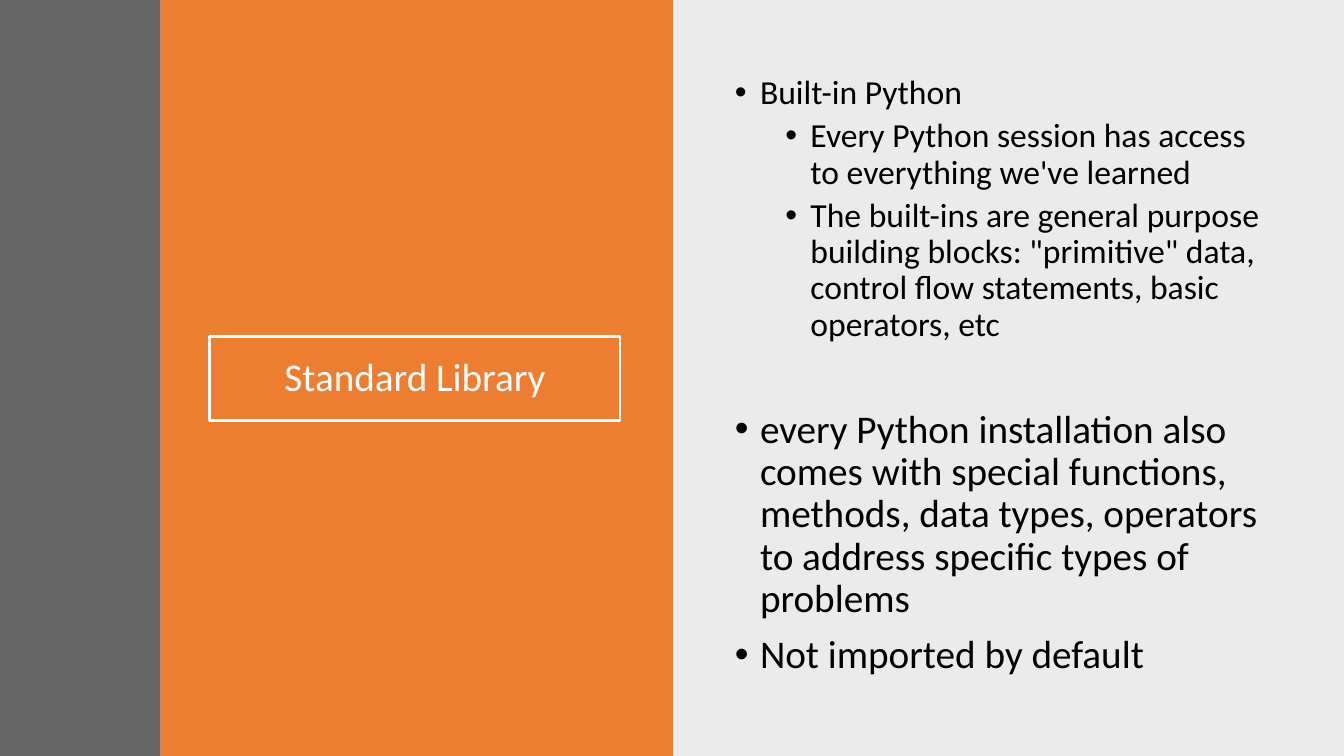
from lxml import etree
from pptx import Presentation
from pptx.dml.color import RGBColor
from pptx.enum.shapes import MSO_SHAPE
from pptx.enum.text import MSO_ANCHOR, PP_ALIGN
from pptx.oxml.ns import qn
from pptx.util import Inches, Pt

RECTANGLE = MSO_SHAPE.RECTANGLE
MIDDLE = MSO_ANCHOR.MIDDLE
CENTER = PP_ALIGN.CENTER

BLACK = RGBColor(0x00, 0x00, 0x00)
WHITE = RGBColor(0xFF, 0xFF, 0xFF)
ORANGE = RGBColor(0xED, 0x7D, 0x31)
CHARCOAL = RGBColor(0x40, 0x40, 0x40)

FONT = "Calibri"
WIDTH, HEIGHT = 13.33, 7.5
MIDLINE = WIDTH / 2
STRIP_WIDTH = 1.59
LINE_SPACING = 0.9
HANGING = 0.25
LEVEL_STEP = 0.5

PANELS = [
    (MIDLINE, WIDTH - MIDLINE, BLACK, 8),
    (STRIP_WIDTH, MIDLINE + 0.01 - STRIP_WIDTH, ORANGE, 100),
    (0, STRIP_WIDTH, CHARCOAL, 80),
]

TITLE = "Standard Library"
TITLE_SIZE = 28
TITLE_BOX = (2.08, 3.34, 4.07, 0.83)

LIST_LEFT, LIST_WIDTH, LIST_HEIGHT = 7.19, 5.53, 2.79
LISTS = [
    (0.7, 24, [
        (0, "Built-in Python"),
        (1, "Every Python session has access to everything we've learned"),
        (1, 'The built-ins are general purpose building blocks: "primitive" data, '
            "control flow statements, basic operators, etc"),
    ]),
    (4.01, 28, [
        (0, "every Python installation also comes with special functions, methods, "
            "data types, operators to address specific types of problems"),
        (0, "Not imported by default"),
    ]),
]


def add_panel(slide, left, width, color, opacity):
    shape = slide.shapes.add_shape(RECTANGLE, Inches(left), 0, Inches(width), Inches(HEIGHT))
    shape.shadow.inherit = False
    shape.fill.solid()
    shape.fill.fore_color.rgb = color
    shape.line.fill.background()
    if opacity < 100:
        color_element = shape.fill._xPr.find(qn("a:solidFill"))[0]
        etree.SubElement(color_element, qn("a:alpha"), val=str(opacity * 1000))


def write_paragraph(paragraph, text, size, color):
    paragraph.text = text
    paragraph.line_spacing = LINE_SPACING
    for run in paragraph.runs:
        run.font.name = FONT
        run.font.size = Pt(size)
        run.font.color.rgb = color


def add_title(slide):
    shape = slide.shapes.add_shape(RECTANGLE, *map(Inches, TITLE_BOX))
    shape.shadow.inherit = False
    shape.fill.background()
    shape.line.color.rgb = WHITE
    shape.line.width = Pt(2)
    shape.text_frame.word_wrap = True
    shape.text_frame.vertical_anchor = MIDDLE
    paragraph = shape.text_frame.paragraphs[0]
    write_paragraph(paragraph, TITLE, TITLE_SIZE, WHITE)
    paragraph.alignment = CENTER


def add_bullet(paragraph, level):
    paragraph.level = level
    properties = paragraph._p.get_or_add_pPr()
    properties.set("marL", str(Inches(HANGING + level * LEVEL_STEP)))
    properties.set("indent", str(-Inches(HANGING)))
    etree.SubElement(properties, qn("a:buFont"), typeface="Arial")
    etree.SubElement(properties, qn("a:buChar"), char="•")


def add_list(slide, top, size, items):
    box = slide.shapes.add_textbox(
        Inches(LIST_LEFT), Inches(top), Inches(LIST_WIDTH), Inches(LIST_HEIGHT))
    frame = box.text_frame
    frame.word_wrap = True
    for index, (level, text) in enumerate(items):
        paragraph = frame.add_paragraph() if index else frame.paragraphs[0]
        write_paragraph(paragraph, text, size, BLACK)
        if index:
            paragraph.space_before = Pt(5 if level else 10)
        add_bullet(paragraph, level)


def main():
    """Build the Standard Library slide."""
    presentation = Presentation()
    presentation.slide_width = Inches(WIDTH)
    presentation.slide_height = Inches(HEIGHT)
    slide = presentation.slides.add_slide(presentation.slide_layouts[6])
    for panel in PANELS:
        add_panel(slide, *panel)
    add_title(slide)
    for bullet_list in LISTS:
        add_list(slide, *bullet_list)
    presentation.save("out.pptx")


if __name__ == "__main__":
    main()
